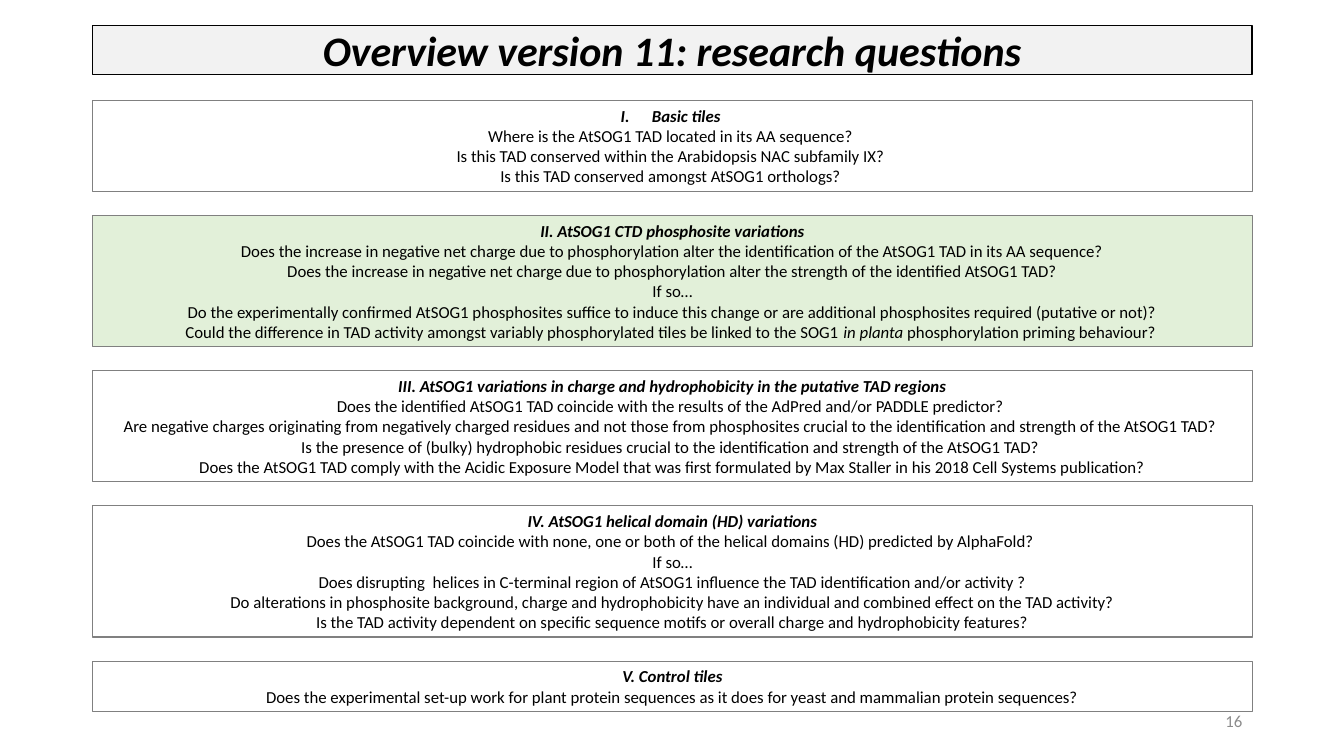
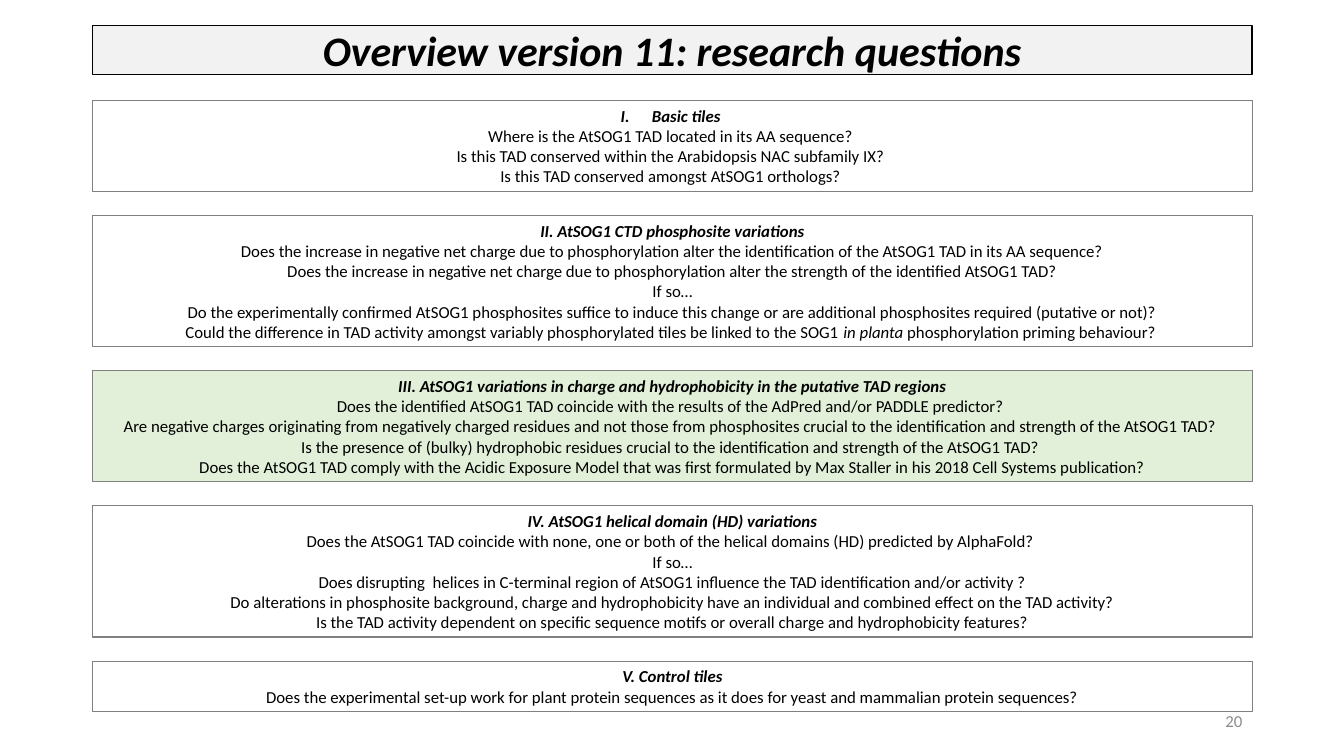
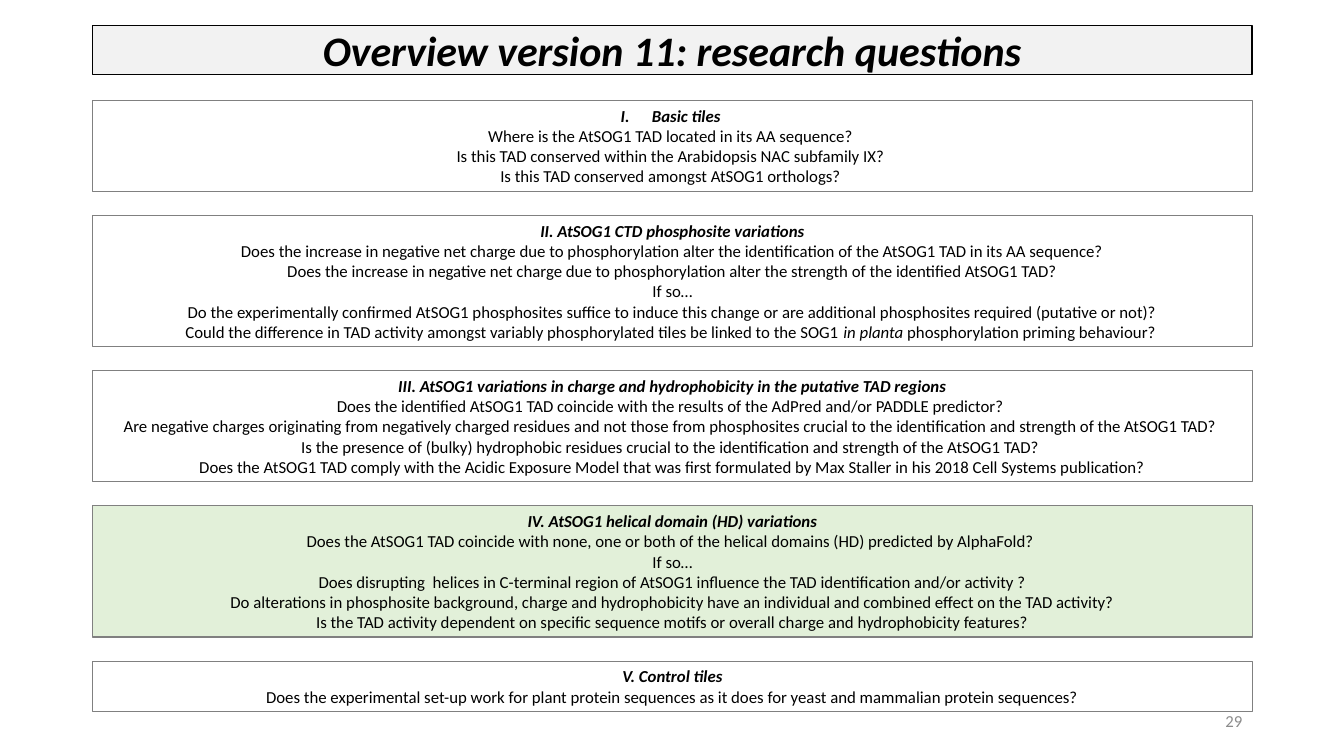
from lxml.etree import SubElement
from pptx import Presentation
from pptx.dml.color import RGBColor
from pptx.enum.shapes import MSO_SHAPE
from pptx.enum.text import MSO_ANCHOR, MSO_AUTO_SIZE, PP_ALIGN
from pptx.oxml.ns import qn
from pptx.util import Inches, Pt

FONT = "Calibri"
BLACK, GREY, NUMBER_GREY = "000000", "808080", "8C8C8C"
TITLE_FILL, HIGHLIGHT = "F2F2F2", "E2F0D9"
LEFT, WIDTH = 0.92, 11.5
FIRST_TOP, GAP = 1, 0.24
LINE_HEIGHT, BOX_PADDING = 0.2, 0.1

TITLE = "Overview version 11: research questions"
NUMBERED_HEADING = "Basic tiles "

# Each section is a heading followed by its questions; *asterisks* mark italics.
SECTIONS = [
    [
        NUMBERED_HEADING,
        "Where is the AtSOG1 TAD located in its AA sequence? ",
        "Is this TAD conserved within the Arabidopsis NAC subfamily IX? ",
        "Is this TAD conserved amongst AtSOG1 orthologs? ",
    ],
    [
        "II. AtSOG1 CTD phosphosite variations",
        "Does the increase in negative net charge due to phosphorylation alter "
        "the identification of the AtSOG1 TAD in its AA sequence?",
        "Does the increase in negative net charge due to phosphorylation alter "
        "the strength of the identified AtSOG1 TAD?",
        "If so…",
        "Do the experimentally confirmed AtSOG1 phosphosites suffice to induce this change "
        "or are additional phosphosites required (putative or not)?",
        "Could the difference in TAD activity amongst variably phosphorylated tiles "
        "be linked to the SOG1 *in planta *phosphorylation priming behaviour? ",
    ],
    [
        "III. AtSOG1 variations in charge and hydrophobicity in the putative TAD regions",
        "Does the identified AtSOG1 TAD coincide with the results of the AdPred "
        "and/or PADDLE predictor? ",
        "Are negative charges originating from negatively charged residues and not those "
        "from phosphosites crucial to the identification and strength of the AtSOG1 TAD? ",
        "Is the presence of (bulky) hydrophobic residues crucial to the identification "
        "and strength of the AtSOG1 TAD? ",
        "Does the AtSOG1 TAD comply with the Acidic Exposure Model that was first "
        "formulated by Max Staller in his 2018 Cell Systems publication?",
    ],
    [
        "IV. AtSOG1 helical domain (HD) variations",
        "Does the AtSOG1 TAD coincide with none, one or both of the helical domains (HD) "
        "predicted by AlphaFold? ",
        "If so…",
        "Does disrupting  helices in C-terminal region of AtSOG1 influence "
        "the TAD identification and/or activity ?",
        "Do alterations in phosphosite background, charge and hydrophobicity have "
        "an individual and combined effect on the TAD activity?",
        "Is the TAD activity dependent on specific sequence motifs "
        "or overall charge and hydrophobicity features?",
    ],
    [
        "V. Control tiles",
        "Does the experimental set-up work for plant protein sequences "
        "as it does for yeast and mammalian protein sequences?",
    ],
]

# Page number and index of the highlighted section
PAGES = [(16, 1), (20, 2), (29, 3)]


def color(hex_string):
    return RGBColor.from_string(hex_string)


def write(paragraph, text, size=12, font_color=BLACK, bold=False, italic=False,
          align=PP_ALIGN.CENTER, line_spacing=None):
    """Fill a paragraph; parts between asterisks switch the italics."""
    paragraph.alignment = align
    if line_spacing:
        paragraph.line_spacing = line_spacing
    for index, part in enumerate(text.split("*")):
        run = paragraph.add_run()
        run.text = part
        run.font.name = FONT
        run.font.size = Pt(size)
        run.font.bold = bold
        run.font.italic = italic or index % 2 == 1
        run.font.color.rgb = color(font_color)


def add_roman_number(paragraph):
    properties = paragraph._p.get_or_add_pPr()
    indent = Inches(0.31)
    properties.set("marL", str(indent))
    properties.set("indent", str(-indent))
    SubElement(properties, qn("a:buAutoNum"), type="romanUcPeriod")


def add_box(slide, top, height, fill, line, line_width):
    shape = slide.shapes.add_shape(MSO_SHAPE.RECTANGLE, Inches(LEFT), Inches(top),
                                   Inches(WIDTH), Inches(height))
    shape.shadow.inherit = False
    if fill:
        shape.fill.solid()
        shape.fill.fore_color.rgb = color(fill)
    else:
        shape.fill.background()
    shape.line.color.rgb = color(line)
    shape.line.width = Pt(line_width)
    shape.text_frame.word_wrap = True
    shape.text_frame.vertical_anchor = MSO_ANCHOR.TOP
    return shape


def add_page_number(slide, number):
    shape = slide.shapes.add_textbox(Inches(9.42), Inches(6.95), Inches(3), Inches(0.4))
    shape.text_frame.word_wrap = True
    shape.text_frame.vertical_anchor = MSO_ANCHOR.MIDDLE
    write(shape.text_frame.paragraphs[0], str(number), font_color=NUMBER_GREY,
          align=PP_ALIGN.RIGHT)


def add_title(slide):
    shape = add_box(slide, 0.25, 0.49, TITLE_FILL, BLACK, 1)
    write(shape.text_frame.paragraphs[0], TITLE, size=30, bold=True, italic=True,
          line_spacing=0.9)


def add_section(slide, top, height, lines, fill):
    heading, *questions = lines
    frame = add_box(slide, top, height, fill, GREY, 0.75).text_frame
    frame.auto_size = MSO_AUTO_SIZE.SHAPE_TO_FIT_TEXT
    paragraph = frame.paragraphs[0]
    if heading == NUMBERED_HEADING:
        add_roman_number(paragraph)
    write(paragraph, heading, bold=True, italic=True)
    for question in questions:
        write(frame.add_paragraph(), question)


def add_overview(presentation, number, highlighted):
    slide = presentation.slides.add_slide(presentation.slide_layouts[6])
    add_page_number(slide, number)
    add_title(slide)
    top = FIRST_TOP
    for index, lines in enumerate(SECTIONS):
        height = len(lines) * LINE_HEIGHT + BOX_PADDING
        add_section(slide, top, height, lines, HIGHLIGHT if index == highlighted else None)
        top += height + GAP


def main():
    presentation = Presentation()
    presentation.slide_width = Inches(13.33)
    presentation.slide_height = Inches(7.5)
    for number, highlighted in PAGES:
        add_overview(presentation, number, highlighted)
    presentation.save("out.pptx")


if __name__ == "__main__":
    main()
